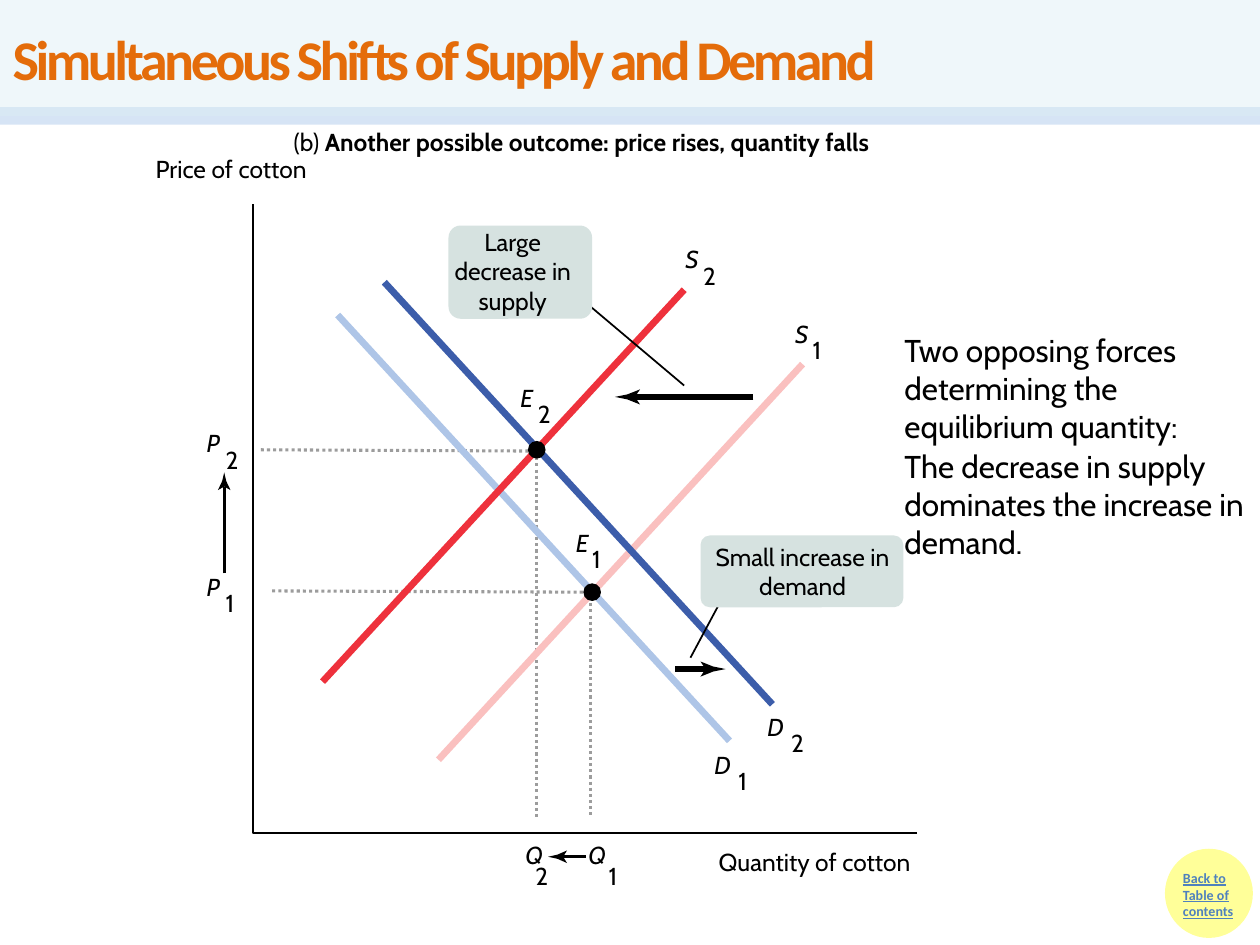
import math
from typing import NamedTuple

import pptx
import pptx.chart.data
import pptx.dml.color
import pptx.enum.dml
import pptx.enum.shapes
import pptx.enum.text
import pptx.oxml
import pptx.oxml.ns
import pptx.util

Inches = pptx.util.Inches
Pt = pptx.util.Pt
Shape = pptx.enum.shapes.MSO_SHAPE
Align = pptx.enum.text.PP_ALIGN
Dash = pptx.enum.dml.MSO_LINE
qn = pptx.oxml.ns.qn

BLACK, GREY, SAGE, YELLOW = "000000", "9C9C9C", "D6E2E0", "FFFF99"
THICK = 3.88


class Line(NamedTuple):
    start: tuple
    end: tuple
    color: str = BLACK
    width: float = 1


class Arrow(NamedTuple):
    tail: tuple
    tip: tuple
    width: float
    head: float  # length of the head
    half: float  # half its breadth


class Label(NamedTuple):
    name: str
    sub: str
    x: float
    y: float
    dx: float
    dy: float = 0.13


class Callout(NamedTuple):
    text: str
    box: tuple
    area: tuple
    lead: Line


def rgb(code: str):
    return pptx.dml.color.RGBColor.from_string(code)


def fade(fill, percent: int):
    """Make a solid fill, given as its parent element, partly transparent."""
    color = fill.find(".//" + qn("a:solidFill"))[0]
    alpha = pptx.oxml.parse_xml(
        '<a:alpha xmlns:a="http://schemas.openxmlformats.org/drawingml/2006/main"'
        f' val="{percent * 1000}"/>')
    color.append(alpha)


def paint(shape, color: str):
    shape.shadow.inherit = False
    shape.fill.solid()
    shape.fill.fore_color.rgb = rgb(color)
    shape.line.fill.background()


def draw_line(slide, line: Line):
    ends = [Inches(v) for v in (*line.start, *line.end)]
    item = slide.shapes.add_connector(
        pptx.enum.shapes.MSO_CONNECTOR.STRAIGHT, *ends)
    item.line.color.rgb = rgb(line.color)
    item.line.width = Pt(line.width)
    props = item._element.spPr
    props.append(props.makeelement(qn("a:effectLst"), {}))
    return item


def draw_shape(slide, kind, box: tuple, color: str):
    item = slide.shapes.add_shape(kind, *map(Inches, box))
    paint(item, color)
    return item


def draw_path(slide, points: list, close: bool):
    spots = [(Inches(x), Inches(y)) for x, y in points]
    path = slide.shapes.build_freeform(*spots[0])
    path.add_line_segments(spots[1:], close=close)
    item = path.convert_to_shape()
    paint(item, BLACK)
    return item


def draw_arrow(slide, arrow: Arrow):
    (x0, y0), (x1, y1) = arrow.tail, arrow.tip
    size = math.hypot(x1 - x0, y1 - y0)
    ux, uy = (x1 - x0) / size, (y1 - y0) / size

    def spot(back: float, side: float) -> tuple:
        return x1 - back * ux - side * uy, y1 - back * uy + side * ux

    head, half = arrow.head, arrow.half
    notch = spot(head * 0.8, 0)
    draw_line(slide, Line(arrow.tail, notch, width=arrow.width))
    points = [(0, 0), (head / 2, half / 3), (head, half),
              (head * 0.8, 0), (head, -half), (head / 2, -half / 3)]
    draw_path(slide, [spot(*p) for p in points], True)


def add_text(slide, box: tuple, runs: list, size=14, align=Align.LEFT,
             inset=True, wrap=True, color=BLACK, face="Cabin"):
    """Write one paragraph; runs are (text, bold) pairs."""
    frame = slide.shapes.add_textbox(*map(Inches, box)).text_frame
    frame.word_wrap = wrap
    if not inset:
        frame.margin_left = frame.margin_right = 0
        frame.margin_top = frame.margin_bottom = 0
    para = frame.paragraphs[0]
    para.alignment = align
    for text, bold in runs:
        run = para.add_run()
        run.text = text
        if bold:
            run.font.bold = True
    para.font.size = Pt(size)
    para.font.name = face
    para.font.color.rgb = rgb(color)
    return para


def draw_label(slide, label: Label):
    wide = 0.15
    name = add_text(slide, (label.x, label.y, wide, 0.24),
                    [(label.name, False)], inset=False, wrap=False)
    name.font.italic = True
    add_text(slide, (label.x + label.dx, label.y + label.dy, 0.1, 0.24),
             [(label.sub, False)], inset=False, wrap=False)


def draw_callout(slide, note: Callout):
    draw_line(slide, note.lead)
    draw_shape(slide, Shape.ROUNDED_RECTANGLE, note.box,
               SAGE).adjustments[0] = 0.13
    add_text(slide, note.area, [(note.text, False)], align=Align.CENTER)


GUIDES = [Line(a, b, GREY, 1.75) for a, b in (
    ((4.26, 3.58), (4.26, 6.49)), ((2.07, 3.57), (4.26, 3.58)),
    ((4.69, 4.69), (4.69, 6.49)), ((2.16, 4.69), (4.69, 4.7)))]
CURVES = [
    Line((5.79, 5.88), (2.68, 2.5), "AEC5E7", THICK),
    Line((2.56, 5.41), (5.43, 2.3), "EE313C", THICK),
    Line((3.48, 6.03), (6.37, 2.89), "FAC0BF", THICK),
    Line((6.13, 5.59), (3.05, 2.24), "3C5DAA", THICK)]
POINTS = [(4.7, 4.7), (4.26, 3.57)]
ARROWS = [
    Arrow((5.36, 5.31), (5.76, 5.31), THICK, 0.2, 0.06),
    Arrow((5.98, 3.15), (4.88, 3.15), THICK, 0.2, 0.06),
    Arrow((1.78, 4.55), (1.78, 3.75), 1.5, 0.14, 0.05),
    Arrow((4.65, 6.8), (4.35, 6.8), 1.5, 0.15, 0.05)]
LABELS = [
    Label("Q", "1", 4.67, 6.67, 0.16, 0.16),
    Label("Q", "2", 4.17, 6.67, 0.08, 0.16),
    Label("P", "2", 1.64, 3.4, 0.15), Label("P", "1", 1.64, 4.54, 0.15),
    Label("S", "2", 5.44, 1.94, 0.14), Label("S", "1", 6.31, 2.53, 0.14),
    Label("D", "2", 6.09, 5.65, 0.19), Label("D", "1", 5.67, 5.95, 0.19),
    Label("E", "1", 4.57, 4.19, 0.13), Label("E", "2", 4.13, 3.04, 0.14)]
CALLOUTS = [
    Callout("Large decrease in supply", (3.56, 1.79, 1.14, 0.74),
            (3.5, 1.75, 1.14, 0.81), Line((4.6, 2.36), (5.43, 3.06))),
    Callout("Small increase in demand", (5.56, 4.25, 1.61, 0.57),
            (5.58, 4.25, 1.58, 0.57), Line((5.48, 5.22), (5.71, 4.79)))]


def main():
    deck = pptx.Presentation()
    deck.slide_width, deck.slide_height = Inches(10), Inches(7.5)
    slide = deck.slides.add_slide(deck.slide_layouts[5])

    # Band under the title, and the contents button
    band = draw_line(slide, Line((0, 0.92), (10, 0.92), "C6D9F1", 10))
    fade(band.line._ln, 71)
    disc = draw_shape(slide, Shape.OVAL, (9.26, 6.75, 0.67, 0.68), YELLOW)
    disc.line.color.rgb = rgb(YELLOW)
    disc.line.width = Pt(2)
    back = add_text(slide, (9.29, 6.85, 0.72, 0.67),
                    [("Back to Table of contents", True)], 8,
                    color="4F81BD", face="Calibri")
    back.font.underline = True

    # Title, in front of the band
    title = slide.shapes.title
    title.left, title.top = 0, 0
    title.width, title.height = Inches(10), Inches(0.92)
    paint(title, "DBEEF4")
    fade(title._element.spPr, 44)
    frame = title.text_frame
    frame.text = "Simultaneous Shifts of Supply and Demand"
    frame.auto_size = pptx.enum.text.MSO_AUTO_SIZE.NONE
    frame.vertical_anchor = pptx.enum.text.MSO_ANCHOR.MIDDLE
    head = frame.paragraphs[0]
    head.alignment = Align.LEFT
    head.font.size, head.font.bold = Pt(32), True
    head.font.name, head.font.color.rgb = "Calibri", rgb("E46C0A")
    head.runs[0].font._element.set("spc", "-200")
    slide.shapes._spTree.append(title._element)

    # Graph: guides, axes, curves and equilibrium points
    for guide in GUIDES:
        draw_line(slide, guide).line.dash_style = Dash.ROUND_DOT
    axes = draw_path(slide, [(7.28, 6.61), (2.01, 6.61), (2.01, 1.62)], False)
    axes.fill.background()
    axes.line.color.rgb, axes.line.width = rgb(BLACK), Pt(1)
    for curve in CURVES:
        draw_line(slide, curve)
    for x, y in POINTS:
        draw_shape(slide, Shape.OVAL, (x - 0.07, y - 0.07, 0.14, 0.14), BLACK)

    # Shifts, labels and callouts
    for arrow in ARROWS:
        draw_arrow(slide, arrow)
    for label in LABELS:
        draw_label(slide, label)
    for note in CALLOUTS:
        draw_callout(slide, note)

    # Heading, axis names and comment
    add_text(slide, (2.33, 1.01, 6.75, 0.24), [
        ("(b) ", False),
        ("Another possible outcome: price rises, quantity falls", True)],
        inset=False)
    for text, box in (("Price of cotton", (0.92, 1.17, 1.83, 0.34)),
                      ("Quantity of cotton", (5.33, 6.67, 2.27, 0.34))):
        add_text(slide, box, [(text, False)], align=Align.CENTER)
    for text, top in (
            ("Two opposing forces determining the equilibrium quantity:", 2.58),
            ("The decrease in supply dominates the increase in demand.", 3.5)):
        add_text(slide, (7.08, top, 2.92, 1.01), [(text, False)], 18)

    deck.save("out.pptx")


if __name__ == "__main__":
    main()
